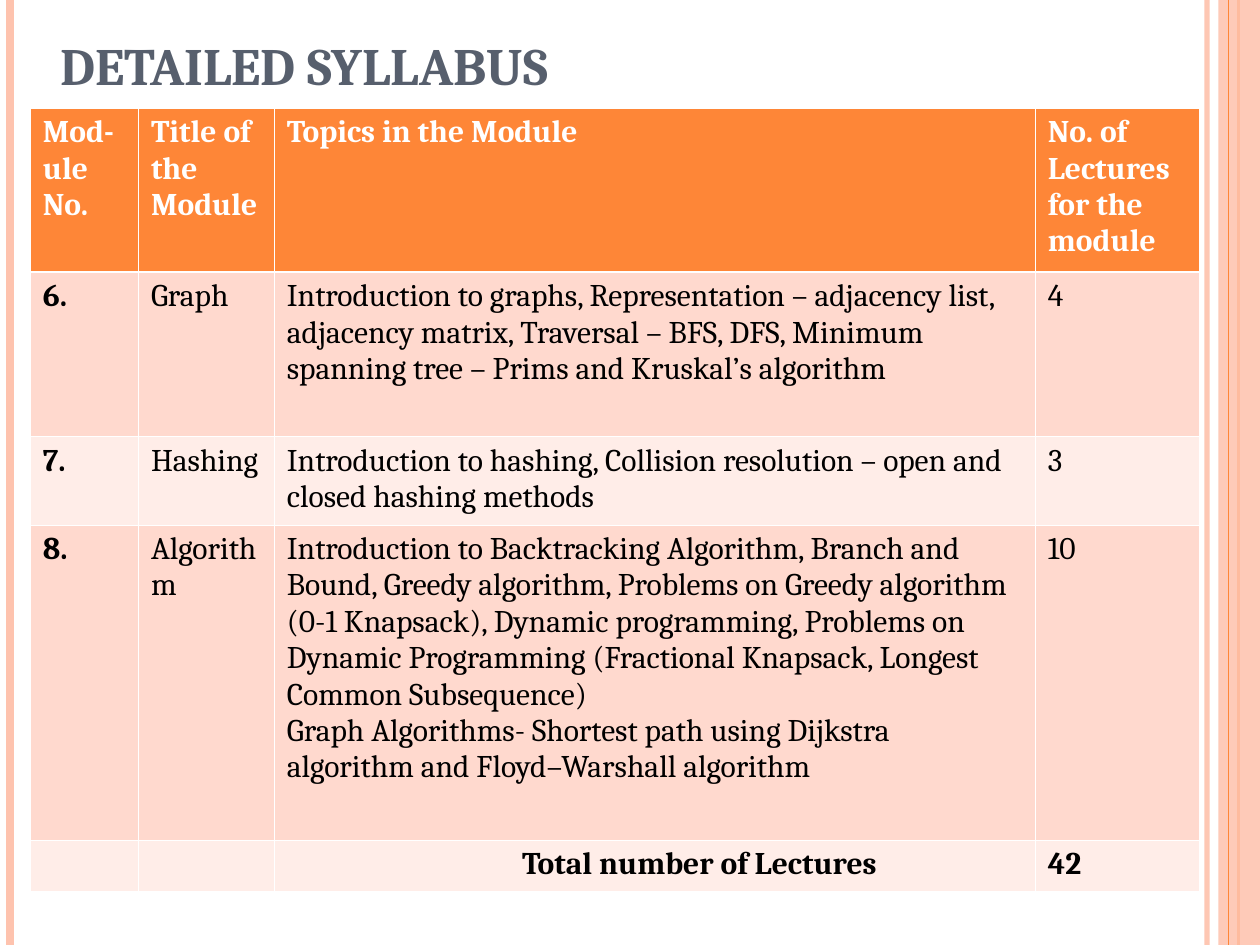
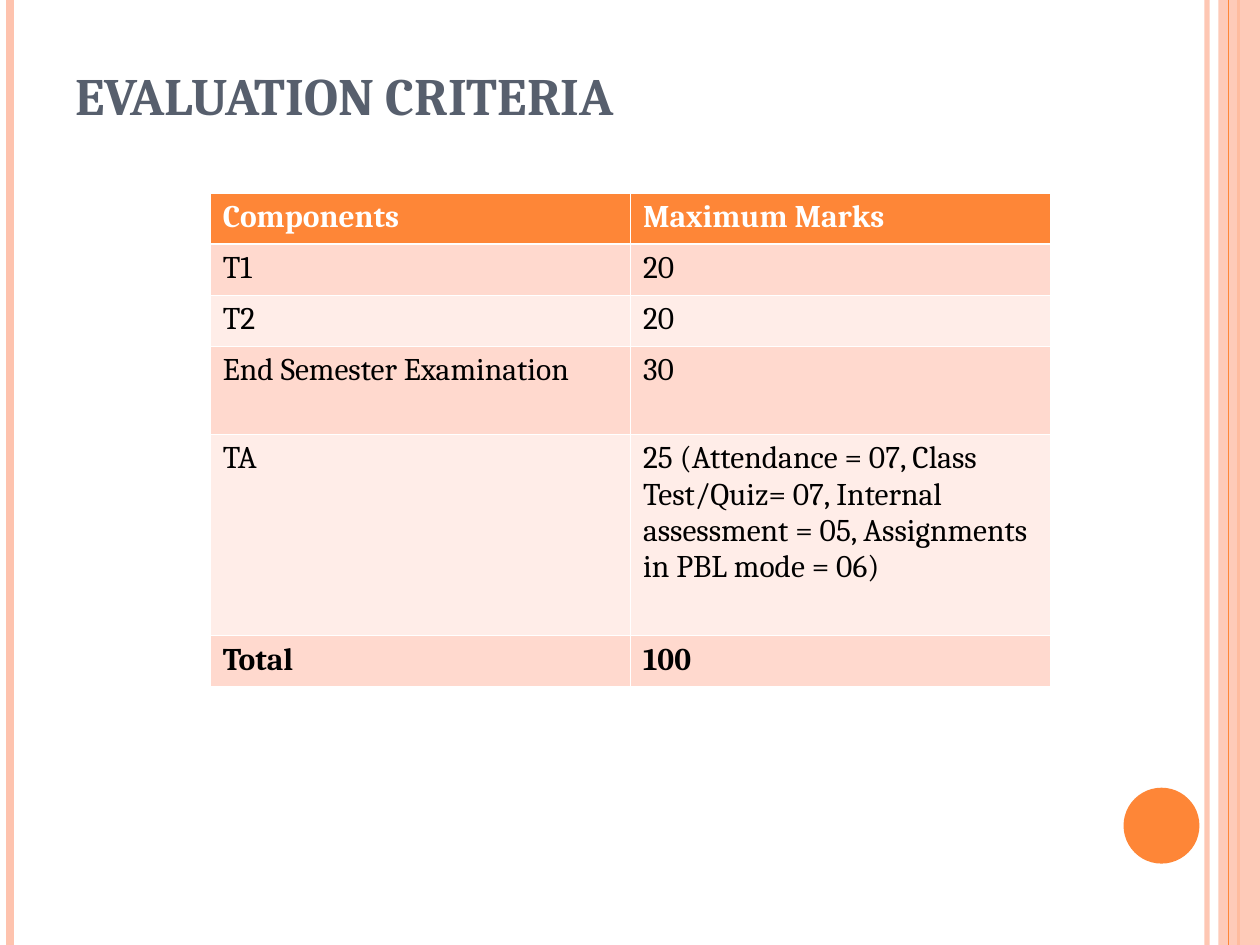
from lxml.etree import SubElement
from pptx import Presentation
from pptx.dml.color import RGBColor
from pptx.enum.shapes import MSO_CONNECTOR, MSO_SHAPE
from pptx.enum.text import MSO_ANCHOR
from pptx.oxml.ns import qn
from pptx.util import Cm, Pt

# Shared look
COLORS = {"orange": "FE8637", "peach": "FEC3AE", "slate": "575F6D", "white": "FFFFFF",
          "black": "000000", "band_dark": "FFD9CE", "band_light": "FFEDE8"}
FONT = "Cambria"
PAGE_WIDTH, PAGE_HEIGHT = 25.4, 19.05
THIN_BORDER, HEADER_BORDER = 0.45, 1.47

# Vertical rules: x in cm, colour, width in points, opacity in percent
RULES_BELOW_BAND = [(24.33, "peach", 3, 93), (0.2, "peach", 4.5, 100),
                    (24.97, "orange", 1.5, 100)]
RULES_ABOVE_BAND = [(24.77, "orange", 0.75, 100)]
SIDE_BAND = {"left": 24.56, "width": 0.84, "opacity": 87}
CORNER_DISC = {"left": 22.65, "top": 15.88, "size": 1.53}

# Content: a tuple in a cell holds several paragraphs; lengths in cm
SLIDES = [
    {
        "title": "DETAILED SYLLABUS", "title_left": 0.97, "title_bottom": 2.06,
        "table_left": 0.61, "table_top": 2.18,
        "columns": [2.18, 2.74, 15.34, 3.31],
        "row_heights": [3.28, 3.32, 1.77, 6.35, 1.03],
        "bold_first_column": True, "total_indents": {2: 4.74}, "disc": False,
        "rows": [
            ["Mod-ule No.", "Title of the Module", "Topics in the Module",
             "No. of Lectures for the module"],
            ["6.", "Graph",
             "Introduction to graphs, Representation – adjacency list, adjacency matrix, "
             "Traversal – BFS, DFS, Minimum spanning tree – Prims and Kruskal’s algorithm",
             "4"],
            ["7.", "Hashing",
             "Introduction to hashing, Collision resolution – open and closed hashing methods",
             "3"],
            ["8.", "Algorithm",
             ("Introduction to Backtracking Algorithm, Branch and Bound, Greedy algorithm, "
              "Problems on Greedy algorithm (0-1 Knapsack), Dynamic programming, Problems on "
              "Dynamic Programming (Fractional Knapsack, Longest Common Subsequence)",
              "Graph Algorithms- Shortest path using Dijkstra algorithm and "
              "Floyd–Warshall algorithm"),
             "10"],
            ["", "", "Total number of Lectures", "42"],
        ],
    },
    {
        "title": "EVALUATION CRITERIA", "title_left": 1.27, "title_bottom": 2.67,
        "table_left": 4.24, "table_top": 3.89,
        "columns": [8.47, 8.47],
        "row_heights": [1.03, 1.03, 1.03, 1.77, 4.06, 1.03],
        "bold_first_column": False, "total_indents": {}, "disc": True,
        "rows": [
            ["Components", "Maximum Marks"],
            ["T1", "20"],
            ["T2", "20"],
            ["End Semester Examination", "30"],
            ["TA", "25 (Attendance = 07, Class Test/Quiz= 07, Internal assessment = 05, "
                   "Assignments in PBL mode = 06)"],
            ["Total", "100"],
        ],
    },
]


def rgb(name):
    return RGBColor.from_string(COLORS[name])


def set_opacity(fill_parent, percent):
    color = fill_parent.find(qn("a:solidFill"))[0]
    SubElement(color, qn("a:alpha"), val=str(percent * 1000))


def write_text(frame, text, size=18, color="black", bold=False, indent=0):
    """Write one paragraph, or one for each item of a tuple."""
    lines = text if isinstance(text, tuple) else (text,)
    for number, line in enumerate(lines):
        para = frame.add_paragraph() if number else frame.paragraphs[0]
        if indent:
            para._p.get_or_add_pPr().set("marL", str(Cm(indent)))
        if not line:
            continue
        span = para.add_run()
        span.text = line
        span.font.name, span.font.size, span.font.bold = FONT, Pt(size), bold
        span.font.color.rgb = rgb(color)


def add_rule(page, x, color, width, opacity):
    rule = page.shapes.add_connector(MSO_CONNECTOR.STRAIGHT, Cm(x), 0, Cm(x), Cm(PAGE_HEIGHT))
    rule.line.color.rgb = rgb(color)
    rule.line.width = Pt(width)
    if opacity < 100:
        set_opacity(rule.line._get_or_add_ln(), opacity)
    SubElement(rule._element.spPr, qn("a:effectLst"))


def add_filled(page, kind, left, top, width, height, color):
    shape = page.shapes.add_shape(kind, Cm(left), Cm(top), Cm(width), Cm(height))
    shape.shadow.inherit = False
    shape.fill.solid()
    shape.fill.fore_color.rgb = rgb(color)
    shape.line.fill.background()
    return shape


def add_decoration(page, with_disc):
    for rule in RULES_BELOW_BAND:
        add_rule(page, *rule)
    band = add_filled(page, MSO_SHAPE.RECTANGLE, SIDE_BAND["left"], 0,
                      SIDE_BAND["width"], PAGE_HEIGHT, "peach")
    set_opacity(band._element.spPr, SIDE_BAND["opacity"])
    for rule in RULES_ABOVE_BAND:
        add_rule(page, *rule)
    if with_disc:
        size = CORNER_DISC["size"]
        add_filled(page, MSO_SHAPE.OVAL, CORNER_DISC["left"], CORNER_DISC["top"],
                   size, size, "orange")


def add_title(page, text, left, bottom):
    height = 1.5
    box = page.shapes.add_textbox(Cm(left), Cm(bottom - height), Cm(22.86), Cm(height))
    box.text_frame.word_wrap = True
    box.text_frame.vertical_anchor = MSO_ANCHOR.BOTTOM
    write_text(box.text_frame, text, size=30, color="slate", bold=True)


def style_cell(cell, row):
    top = HEADER_BORDER if row == 1 else THIN_BORDER
    bottom = HEADER_BORDER if row == 0 else THIN_BORDER
    properties = cell._tc.get_or_add_tcPr()
    for side, width in zip("LRTB", (THIN_BORDER, THIN_BORDER, top, bottom)):
        line = SubElement(properties, qn(f"a:ln{side}"), w=str(Pt(width)))
        fill = SubElement(line, qn("a:solidFill"))
        SubElement(fill, qn("a:srgbClr"), val=COLORS["white"])
    cell.fill.solid()
    band = "band_dark" if row % 2 else "band_light"
    cell.fill.fore_color.rgb = rgb("orange" if row == 0 else band)


def add_content_table(page, content):
    rows, columns, heights = content["rows"], content["columns"], content["row_heights"]
    table = page.shapes.add_table(
        len(rows), len(columns), Cm(content["table_left"]), Cm(content["table_top"]),
        Cm(sum(columns)), Cm(sum(heights))).table
    for column, width in zip(table.columns, columns):
        column.width = Cm(width)
    for row, height in zip(table.rows, heights):
        row.height = Cm(height)
    last = len(rows) - 1
    for row, texts in enumerate(rows):
        for column, text in enumerate(texts):
            cell = table.cell(row, column)
            style_cell(cell, row)
            first_column = content["bold_first_column"] and column == 0
            write_text(cell.text_frame, text,
                       color="black" if row else "white",
                       bold=row in (0, last) or first_column,
                       indent=content["total_indents"].get(column, 0) if row == last else 0)


def main():
    deck = Presentation()
    deck.slide_width, deck.slide_height = Cm(PAGE_WIDTH), Cm(PAGE_HEIGHT)
    for content in SLIDES:
        page = deck.slides.add_slide(deck.slide_layouts[6])
        add_decoration(page, content["disc"])
        add_title(page, content["title"], content["title_left"], content["title_bottom"])
        add_content_table(page, content)
    deck.save("out.pptx")


if __name__ == "__main__":
    main()
